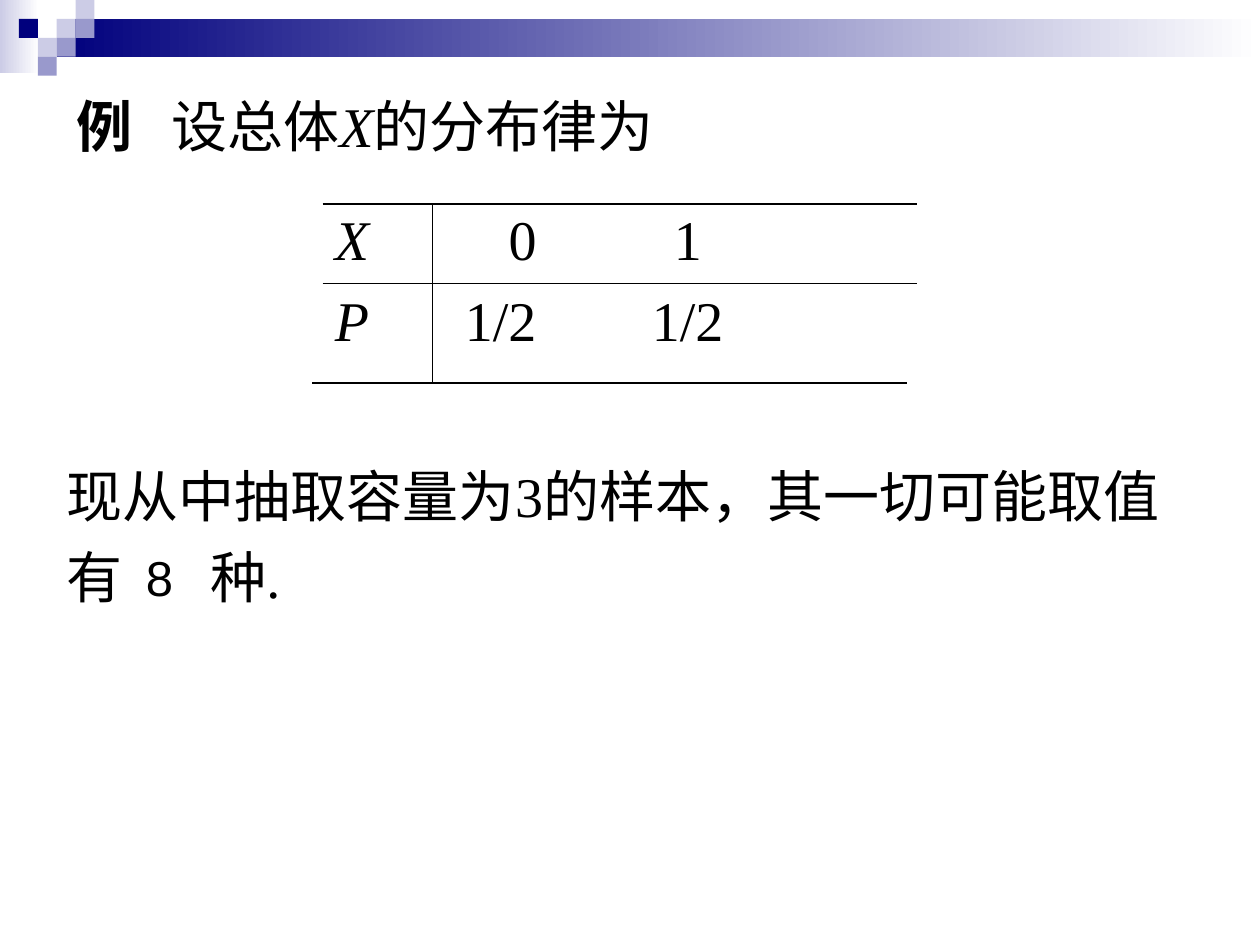
"""Build a slide on the distribution law of a population and its samples."""
from lxml.etree import SubElement
from pptx import Presentation
from pptx.dml.color import RGBColor
from pptx.enum.shapes import MSO_CONNECTOR, MSO_SHAPE
from pptx.enum.text import MSO_ANCHOR
from pptx.oxml.ns import qn
from pptx.util import Inches, Pt

COLORS = {"navy": "00007D", "violet": "9999CC", "lilac": "CCCCE6",
          "white": "FFFFFF", "black": "000000"}
SERIF, SANS = "Times New Roman", "Arial"

GRADIENT_BARS = [((0, 0, 0.31, 0.58), "lilac"), ((0.45, 0.15, 9.55, 0.3), "navy")]
SQUARE = 0.15
SQUARES = [(3, 1, "lilac"), (4, 0, "lilac"), (4, 1, "violet"), (2, 2, "lilac"),
           (1, 1, "navy"), (3, 2, "violet"), (2, 3, "violet")]

TITLE = [[("例", {"bold": True}), ("\t设总体", {}),
          ("X", {"name": SERIF, "italic": True}), ("的分布律为", {})]]
DISTRIBUTION = [("X", "0", "1"), ("P", "1/2", "1/2")]
SAMPLE = [[("现从中抽取容量为3的样本，其一切可能取值有\t种.", {})]]
SAMPLE_COUNT = [[("8", {})]]

RULE_LEFT, RULE_WIDTH = 2.56, 4.72
RULE_TOP, RULE_MIDDLE, RULE_BOTTOM = 1.62, 2.25, 3.04
DIVIDER = 3.43
BOTTOM_SHIFT = -0.08


def rgb(name):
    return RGBColor.from_string(COLORS[name])


def add_rectangle(slide, box, color, fade_to=None):
    shape = slide.shapes.add_shape(MSO_SHAPE.RECTANGLE, *map(Inches, box))
    shape.shadow.inherit = False
    shape.line.fill.background()
    if fade_to:
        shape.fill.gradient()
        shape.fill.gradient_angle = 0
        for stop, name, position in zip(shape.fill.gradient_stops, (color, fade_to), (0, 1)):
            stop.color.rgb = rgb(name)
            stop.position = position
    else:
        shape.fill.solid()
        shape.fill.fore_color.rgb = rgb(color)


def add_line(slide, start, end):
    line = slide.shapes.add_connector(MSO_CONNECTOR.STRAIGHT, *map(Inches, start + end))
    line.line.color.rgb = rgb("black")
    line.line.width = Pt(0.75)
    SubElement(line._element.spPr, qn("a:effectLst"))


def add_text(slide, box, paragraphs, font=SERIF, size=32, spacing=None,
             anchor=MSO_ANCHOR.TOP, tabs=()):
    frame = slide.shapes.add_textbox(*map(Inches, box)).text_frame
    frame.word_wrap = True
    frame.vertical_anchor = anchor
    for index, runs in enumerate(paragraphs):
        paragraph = frame.paragraphs[0] if index == 0 else frame.add_paragraph()
        if spacing:
            paragraph.line_spacing = spacing
        if tabs:
            tab_list = SubElement(paragraph._p.get_or_add_pPr(), qn("a:tabLst"))
            for position, alignment in tabs:
                SubElement(tab_list, qn("a:tab"), pos=str(Inches(position)), algn=alignment)
        for text, style in runs:
            run = paragraph.add_run()
            run.text = text
            run.font.size = Pt(size)
            run.font.color.rgb = rgb("black")
            for key, value in {"name": font, **style}.items():
                setattr(run.font, key, value)


def main():
    presentation = Presentation()
    presentation.slide_width, presentation.slide_height = Inches(10), Inches(7.5)
    slide = presentation.slides.add_slide(presentation.slide_layouts[6])

    for box, color in GRADIENT_BARS:
        add_rectangle(slide, box, color, fade_to="white")
    for column, row, color in SQUARES:
        add_rectangle(slide, (column * SQUARE, row * SQUARE, SQUARE, SQUARE), color)

    add_text(slide, (0.51, 0.68, 9, 5.5), TITLE, font=SANS, tabs=[(0.75, "l")])

    rows = [[(label, {"italic": True}), ("\t" + "\t".join(values), {})]
            for label, *values in DISTRIBUTION]
    add_text(slide, (2.56, 1.47, 4.88, 1.38), rows, spacing=1.2,
             anchor=MSO_ANCHOR.MIDDLE, tabs=[(1.6, "r"), (2.8, "ctr")])
    for y, shift in [(RULE_TOP, 0), (RULE_MIDDLE, 0), (RULE_BOTTOM, BOTTOM_SHIFT)]:
        left = RULE_LEFT + shift
        add_line(slide, (left, y), (left + RULE_WIDTH, y))
    add_line(slide, (DIVIDER, RULE_TOP), (DIVIDER, RULE_BOTTOM))

    add_text(slide, (0.43, 3.51, 9.25, 1.38), SAMPLE, spacing=1.2, tabs=[(1.14, "l")])
    add_text(slide, (1.06, 4.3, 0.55, 0.57), SAMPLE_COUNT, font=SANS, size=28)
    presentation.save("out.pptx")


if __name__ == "__main__":
    main()
